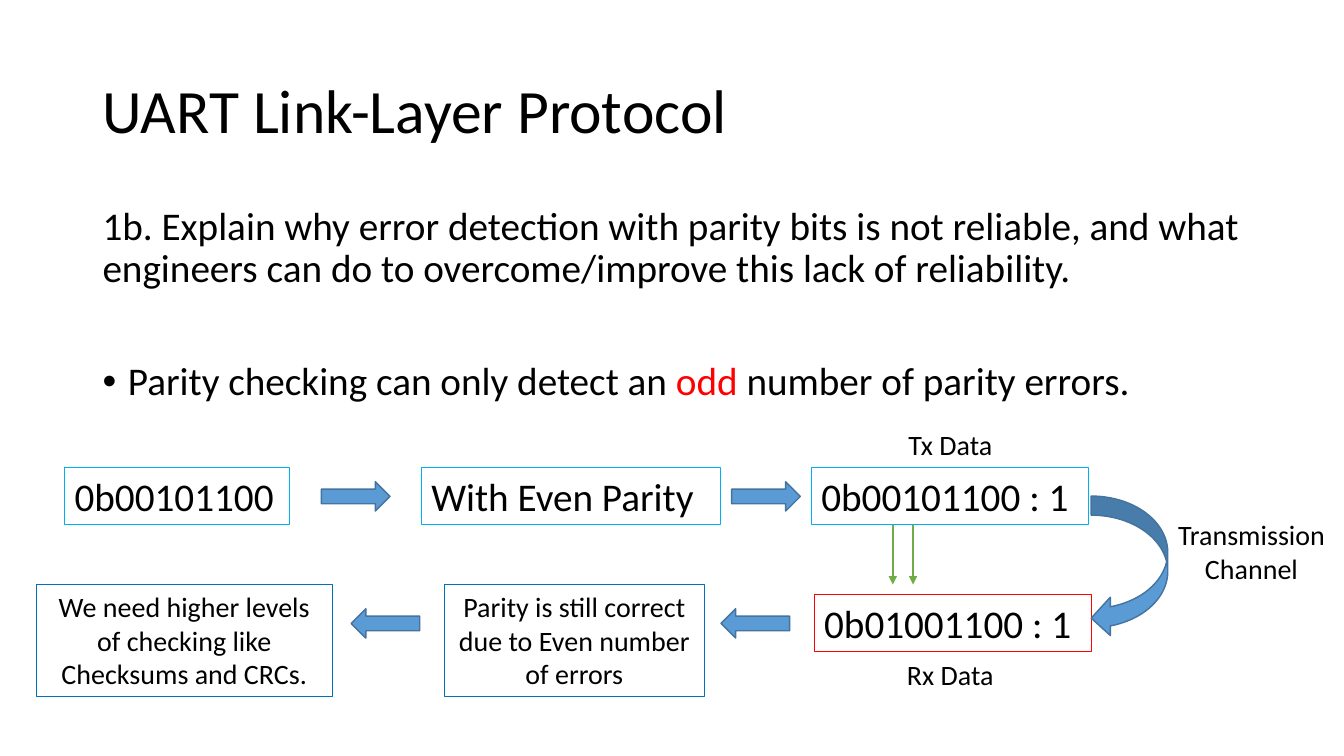
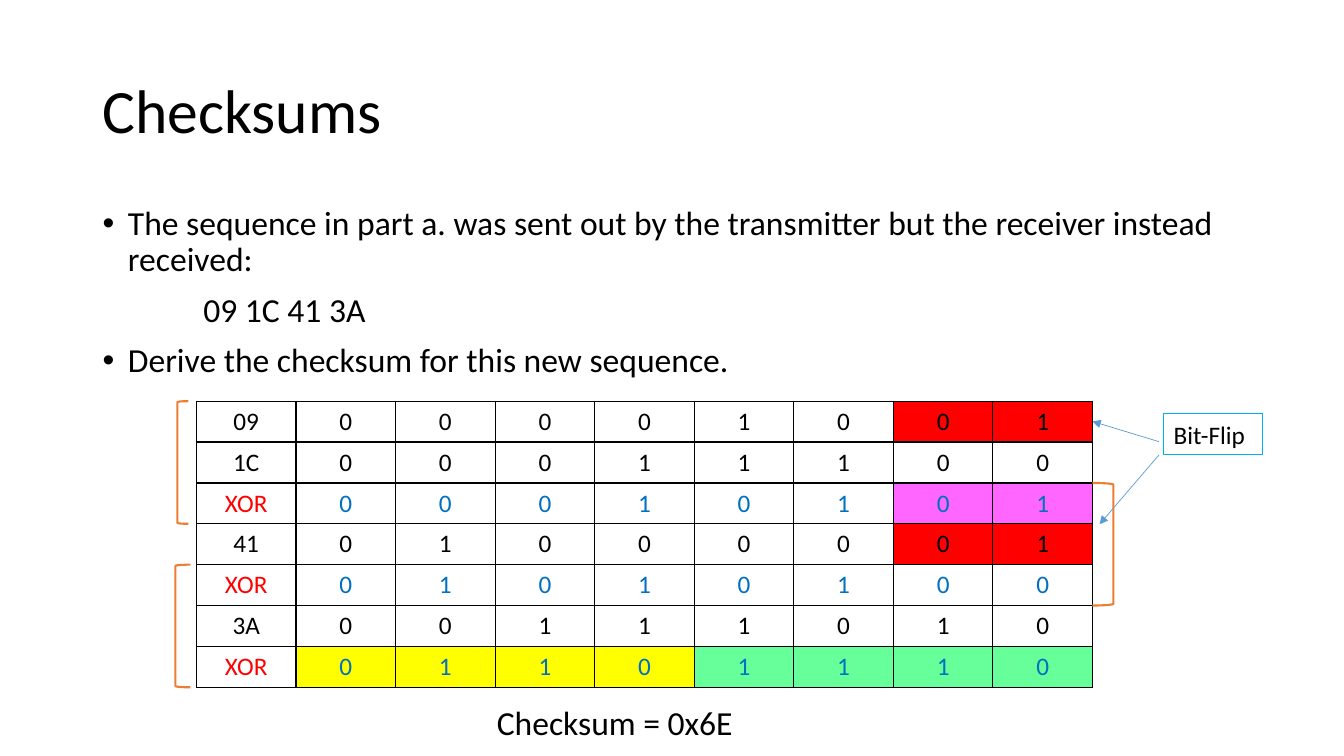
"""Build two slides on UART parity checks and checksums."""
from dataclasses import dataclass

from lxml.etree import SubElement
from pptx import Presentation
from pptx.dml.color import RGBColor
from pptx.enum.shapes import MSO_CONNECTOR as Link, MSO_SHAPE as Form
from pptx.enum.text import MSO_ANCHOR as Anchor, MSO_AUTO_SIZE as Fit, PP_ALIGN as Align
from pptx.oxml.ns import qn
from pptx.util import Cm, Pt


@dataclass(frozen=True)
class Theme:
    font: str = "Calibri"
    black: str = "000000"
    red: str = "FF0000"
    blue: str = "0070C0"
    cyan: str = "00B0F0"
    green: str = "70AD47"
    orange: str = "ED7D31"
    steel: str = "5B9BD5"
    edge: str = "43739E"
    pink: str = "FF66FF"
    yellow: str = "FFFF00"
    mint: str = "66FF99"
    title: int = 44
    large: int = 28
    mid: int = 24
    label: int = 20
    small: int = 18


theme = Theme()
rgb = RGBColor.from_string


def draw(slide, form, at, line=None, width=0.75, fill=None, text="", size=20, align=Align.LEFT):
    at = [Cm(n) for n in at]
    if form is None:
        shape = slide.shapes.add_textbox(*at)
    else:
        shape = slide.shapes.add_shape(form, *at)
        shape.shadow.inherit = False
        shape.line.color.rgb = rgb(line)
        shape.line.width = Pt(width)
        if fill:
            shape.fill.solid()
            shape.fill.fore_color.rgb = rgb(fill)
        else:
            shape.fill.background()
    if text:
        frame = shape.text_frame
        frame.word_wrap = True
        frame.auto_size = Fit.SHAPE_TO_FIT_TEXT
        frame.vertical_anchor = Anchor.TOP
        para = frame.paragraphs[0]
        para.text = text
        para.alignment = align
        para.font.name = theme.font
        para.font.size = Pt(size)
        para.font.color.rgb = rgb(theme.black)


def point(slide, start, end, color, width):
    arrow = slide.shapes.add_connector(Link.STRAIGHT, *[Cm(n) for n in start + end])
    arrow.line.color.rgb = rgb(color)
    arrow.line.width = Pt(width)
    props = arrow._element.spPr
    SubElement(props.find(qn("a:ln")), qn("a:tailEnd"), type="triangle")
    SubElement(props, qn("a:effectLst"))


deck = Presentation()
deck.slide_width, deck.slide_height = Cm(33.87), Cm(19.05)

pages = [
    ("UART Link-Layer Protocol", theme.large, 5.44, [
        ("1b. Explain why error detection with parity bits is not reliable, and what "
         "engineers can do to overcome/improve this lack of reliability.", False, 0, 0),
        ("Parity checking can only detect an *odd* number of parity errors.", True, 0.64, 50.5),
    ]),
    ("Checksums", theme.mid, 4.8, [
        ("The sequence in part a. was sent out by the transmitter but the receiver "
         "instead received:", True, 0.64, 0),
        ("09 1C 41 3A", False, 2.54, 10),
        ("Derive the checksum for this new sequence.", True, 0.64, 10),
    ]),
]
slides = []
for name, size, height, items in pages:
    slide = deck.slides.add_slide(deck.slide_layouts[1])
    slides.append(slide)
    title, body = slide.placeholders
    for holder, top, tall in ((title, 1.02, 3.68), (body, 5.08, height)):
        holder.left, holder.top = Cm(2.33), Cm(top)
        holder.width, holder.height = Cm(29.21), Cm(tall)
        holder.text_frame.auto_size = Fit.NONE
    title.text_frame.vertical_anchor = Anchor.MIDDLE
    head = title.text_frame.paragraphs[0]
    head.text = name
    head.alignment = Align.LEFT
    head.line_spacing = 0.9
    head.font.name = theme.font
    head.font.size = Pt(theme.title)
    head.font.color.rgb = rgb(theme.black)
    for i, (text, dot, left, gap) in enumerate(items):
        frame = body.text_frame
        para = frame.add_paragraph() if i else frame.paragraphs[0]
        props = para._p.get_or_add_pPr()
        props.set("marL", str(Cm(left)))
        props.set("indent", str(-Cm(left) if dot else 0))
        if dot:
            SubElement(props, qn("a:buFont"), typeface="Arial")
            SubElement(props, qn("a:buChar"), char="•")
        else:
            SubElement(props, qn("a:buNone"))
        para.line_spacing = 0.9
        para.space_before = Pt(gap)
        para.font.name = theme.font
        para.font.size = Pt(size)
        para.font.color.rgb = rgb(theme.black)
        for j, part in enumerate(text.split("*")):
            run = para.add_run()
            run.text = part
            if j % 2:
                run.font.color.rgb = rgb(theme.red)

uart, sums = slides

for text, at, line in (
    ("0b00101100", (1.63, 11.78, 5.67, 1.45), theme.cyan),
    ("With Even Parity", (10.62, 11.78, 7.54, 1.45), theme.cyan),
    ("0b00101100 : 1", (20.45, 11.78, 6.99, 1.45), theme.cyan),
    ("0b01001100 : 1", (20.52, 14.98, 6.99, 1.45), theme.red),
):
    draw(uart, Form.RECTANGLE, at, line, text=text, size=theme.large)

for text, at in (
    ("Parity is still correct due to Even number of errors", (11.2, 14.73, 6.55, 2.82)),
    ("We need higher levels of checking like Checksums and CRCs.", (0.91, 14.73, 7.47, 2.82)),
):
    draw(uart, Form.RECTANGLE, at, theme.blue, text=text, size=theme.label, align=Align.CENTER)

for text, at in (
    ("Transmission Channel", (29.38, 12.92, 4.32, 1.96)),
    ("Tx Data", (21.79, 10.64, 4.32, 1.12)),
    ("Rx Data", (21.79, 16.44, 4.32, 1.12)),
):
    draw(uart, None, at, text=text, size=theme.label, align=Align.CENTER)

for form, at in (
    (Form.RIGHT_ARROW, (8.1, 12.14, 1.73, 0.74)),
    (Form.RIGHT_ARROW, (18.44, 12.14, 1.73, 0.74)),
    (Form.CURVED_LEFT_ARROW, (27.5, 12.5, 1.93, 3.56)),
    (Form.LEFT_ARROW, (18.17, 15.34, 1.73, 0.74)),
    (Form.LEFT_ARROW, (8.85, 15.34, 1.73, 0.74)),
):
    draw(uart, form, at, theme.edge, 1, theme.steel)

for x in (22.5, 23.01):
    point(uart, (x, 13.23), (x, 14.73), theme.green, 1.5)

rows = [
    ("09", "00001001", "......rr"),
    ("1C", "00011100", "........"),
    ("XOR", "00010101", "......pp"),
    ("41", "01000001", "......rr"),
    ("XOR", "01010100", "........"),
    ("3A", "00111010", "........"),
    ("XOR", "01101110", "yyyymmmm"),
]
fills = {"r": theme.red, "p": theme.pink, "y": theme.yellow, "m": theme.mint}
left, top, wide, tall = 4.95, 10.11, 2.51, 1.03
cols = 9
for r, (name, bits, marks) in enumerate(rows):
    grid = sums.shapes.add_table(
        1, cols, Cm(left), Cm(top + r * tall), Cm(wide * cols), Cm(tall)).table
    grid.first_row = grid.horz_banding = False
    for col in grid.columns:
        col.width = Cm(wide)
    for c, (text, mark) in enumerate(zip([name, *bits], "." + marks)):
        cell = grid.cell(0, c)
        props = cell._tc.get_or_add_tcPr()
        for side in ("a:lnL", "a:lnR", "a:lnT", "a:lnB"):
            edge = SubElement(props, qn(side), w=str(Pt(1)))
            SubElement(SubElement(edge, qn("a:solidFill")), qn("a:srgbClr"), val=theme.black)
        if mark in fills:
            cell.fill.solid()
            cell.fill.fore_color.rgb = rgb(fills[mark])
        else:
            cell.fill.background()
        ink = theme.black
        if name == "XOR":
            ink = theme.blue if c else theme.red
        para = cell.text_frame.paragraphs[0]
        para.text = text
        para.alignment = Align.CENTER
        para.font.name = theme.font
        para.font.size = Pt(theme.small)
        para.font.color.rgb = rgb(ink)

for form, x, width, row in (
    (Form.LEFT_BRACKET, 4.47, 0.28, 0),
    (Form.RIGHT_BRACKET, 27.53, 0.53, 2),
    (Form.LEFT_BRACKET, 4.42, 0.38, 4),
):
    draw(sums, form, (x, top + row * tall, width, 3 * tall), theme.orange, 1.5)

draw(sums, None, (12.27, 17.57, 7.92, 1.27), text="Checksum = 0x6E", size=theme.mid)
draw(sums, Form.RECTANGLE, (29.33, 10.43, 2.5, 1.02), theme.cyan,
     text="Bit-Flip", size=theme.small)
for start, end in (((29.21, 11.13), (27.53, 10.62)), ((29.21, 11.46), (27.71, 13.21))):
    point(sums, start, end, theme.steel, 0.5)

deck.save("out.pptx")
